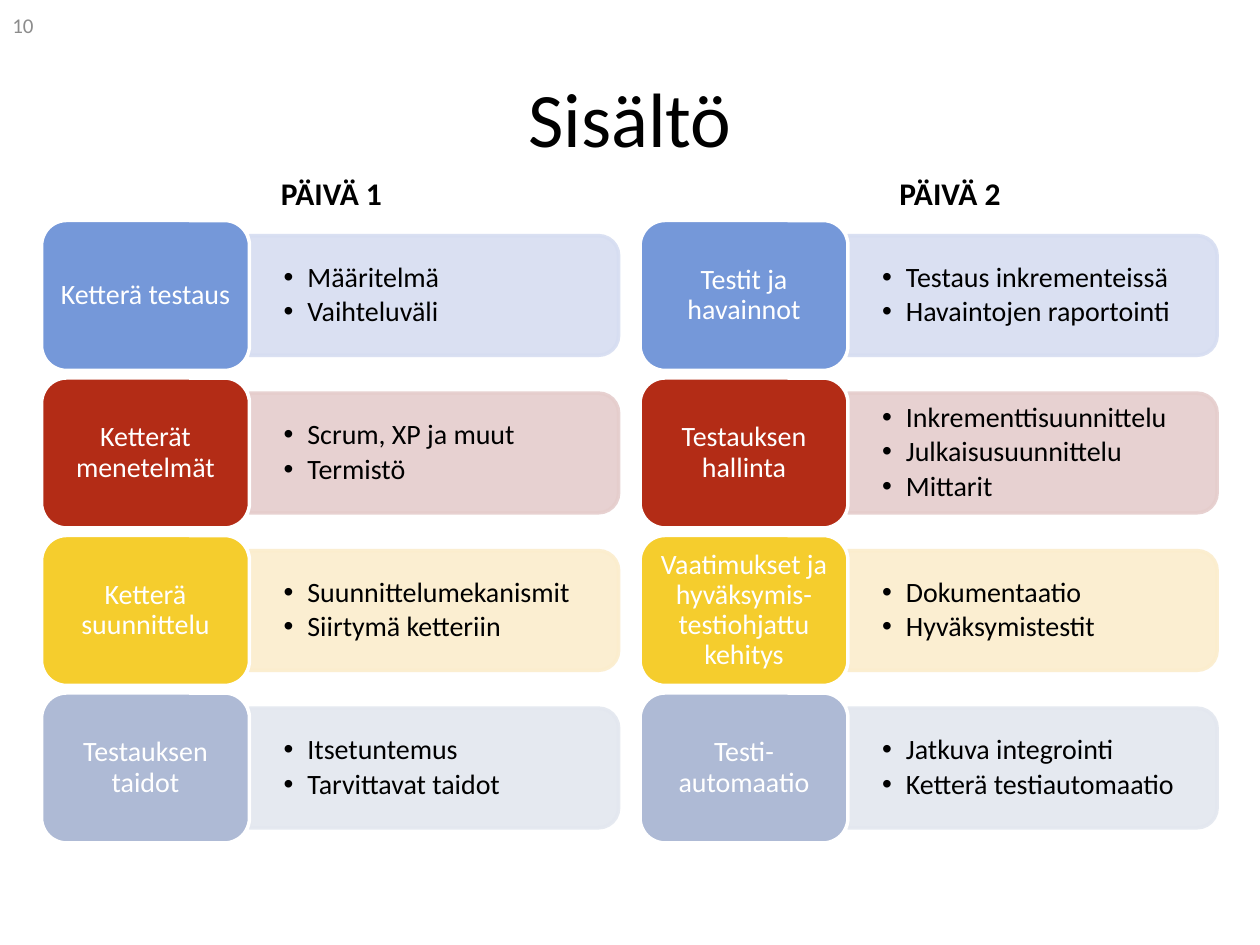
from lxml import etree
from pptx import Presentation
from pptx.dml.color import RGBColor
from pptx.enum import shapes, text
from pptx.oxml.ns import qn
from pptx.util import Inches, Pt

COLORS = {
    "black": "000000", "white": "FFFFFF", "gray": "8C8C8C",
    "blue": "7598D9", "blue_light": "D6DDF1",
    "red": "B32C16", "red_light": "E5CDCC",
    "yellow": "F5CD2D", "yellow_light": "FBEDCD",
    "lavender": "AEBAD5", "lavender_light": "E3E7EF",
}
ROW_COLORS = ["blue", "red", "yellow", "lavender"]
DAYS = [
    ("PÄIVÄ 1", 1.67, 0.33, [
        ("Ketterä testaus", ["Määritelmä", "Vaihteluväli"]),
        ("Ketterät menetelmät", ["Scrum, XP ja muut", "Termistö"]),
        ("Ketterä suunnittelu", ["Suunnittelumekanismit", "Siirtymä ketteriin"]),
        ("Testauksen taidot", ["Itsetuntemus", "Tarvittavat taidot"]),
    ]),
    ("PÄIVÄ 2", 6.58, 5.08, [
        ("Testit ja havainnot", ["Testaus inkrementeissä", "Havaintojen raportointi"]),
        ("Testauksen hallinta",
         ["Inkrementtisuunnittelu", "Julkaisusuunnittelu", "Mittarit"]),
        ("Vaatimukset ja hyväksymis-testiohjattu kehitys",
         ["Dokumentaatio", "Hyväksymistestit"]),
        ("Testi-automaatio", ["Jatkuva integrointi", "Ketterä testiautomaatio"]),
    ]),
]
TOP, ROW_PITCH = 1.75, 1.25
LABEL_WIDTH, LABEL_HEIGHT = 1.65, 1.19
PANEL_WIDTH, PANEL_HEIGHT = 2.93, 0.95


def write(shape, lines, size, color="black", centered=True, bold=False,
          insets=(0.1, 0.05), spacing=None, after=None, bulleted=False):
    """Fill a shape's text frame, one paragraph per line."""
    frame = shape.text_frame
    frame.word_wrap = True
    frame.vertical_anchor = text.MSO_ANCHOR.MIDDLE
    frame.margin_left = frame.margin_right = Inches(insets[0])
    frame.margin_top = frame.margin_bottom = Inches(insets[1])
    for index, line in enumerate(lines):
        paragraph = frame.add_paragraph() if index else frame.paragraphs[0]
        paragraph.alignment = text.PP_ALIGN.CENTER if centered else text.PP_ALIGN.LEFT
        if spacing:
            paragraph.line_spacing = spacing
            paragraph.space_after = Pt(after)
        if bulleted:
            properties = paragraph._p.get_or_add_pPr()
            properties.set("marL", str(Inches(0.19)))
            properties.set("indent", str(Inches(-0.19)))
            etree.SubElement(properties, qn("a:buFont")).set("typeface", "Arial")
            etree.SubElement(properties, qn("a:buChar")).set("char", "•")
        run = paragraph.add_run()
        run.text = line
        run.font.name = "Calibri"
        run.font.size = Pt(size)
        run.font.bold = bold
        run.font.color.rgb = RGBColor.from_string(COLORS[color])


def add_block(kind, left, top, width, height, fill, line, opacity=None):
    shape = slide.shapes.add_shape(
        kind, Inches(left), Inches(top), Inches(width), Inches(height))
    shape.shadow.inherit = False
    shape.line.width = Pt(2)
    for paint, color in ((shape.fill, fill), (shape.line.fill, line)):
        paint.solid()
        paint.fore_color.rgb = RGBColor.from_string(COLORS[color])
    if opacity:
        for color_element in shape._element.spPr.iter(qn("a:srgbClr")):
            etree.SubElement(color_element, qn("a:alpha")).set("val", str(opacity * 1000))
    return shape


presentation = Presentation()
presentation.slide_width = Inches(10)
presentation.slide_height = Inches(7.5)
slide = presentation.slides.add_slide(presentation.slide_layouts[6])

title = slide.shapes.add_textbox(Inches(0.5), Inches(0.3), Inches(9), Inches(1.25))
write(title, ["Sisältö"], 44)

page_number = slide.shapes.add_textbox(0, 0, Inches(2.33), Inches(0.4))
write(page_number, ["10"], 12, "gray", centered=False)

for day, heading_left, left, rows in DAYS:
    heading = slide.shapes.add_textbox(
        Inches(heading_left), Inches(1.33), Inches(1.92), Inches(0.4))
    write(heading, [day], 18, bold=True)

    for row, (topic, items) in enumerate(rows):
        color = ROW_COLORS[row]
        top = TOP + row * ROW_PITCH
        middle = top + LABEL_HEIGHT / 2
        panel_left = left + LABEL_WIDTH

        # The panel is a top-rounded rectangle turned so its round end faces right.
        panel = add_block(
            shapes.MSO_SHAPE.ROUND_2_SAME_RECTANGLE,
            panel_left + (PANEL_WIDTH - PANEL_HEIGHT) / 2, middle - PANEL_WIDTH / 2,
            PANEL_HEIGHT, PANEL_WIDTH, color + "_light", color + "_light", opacity=90)
        panel.rotation = 90

        details = slide.shapes.add_textbox(
            Inches(panel_left), Inches(middle - 0.43), Inches(2.89), Inches(0.86))
        write(details, items, 16, centered=False, insets=(0.27, 0.14),
              spacing=0.9, after=2.4, bulleted=True)

        label = add_block(shapes.MSO_SHAPE.ROUNDED_RECTANGLE, left, top,
                          LABEL_WIDTH, LABEL_HEIGHT, color, "white")
        write(label, [topic], 16, "white", insets=(0.07, 0.03), spacing=0.9, after=5.6)

presentation.save("out.pptx")
